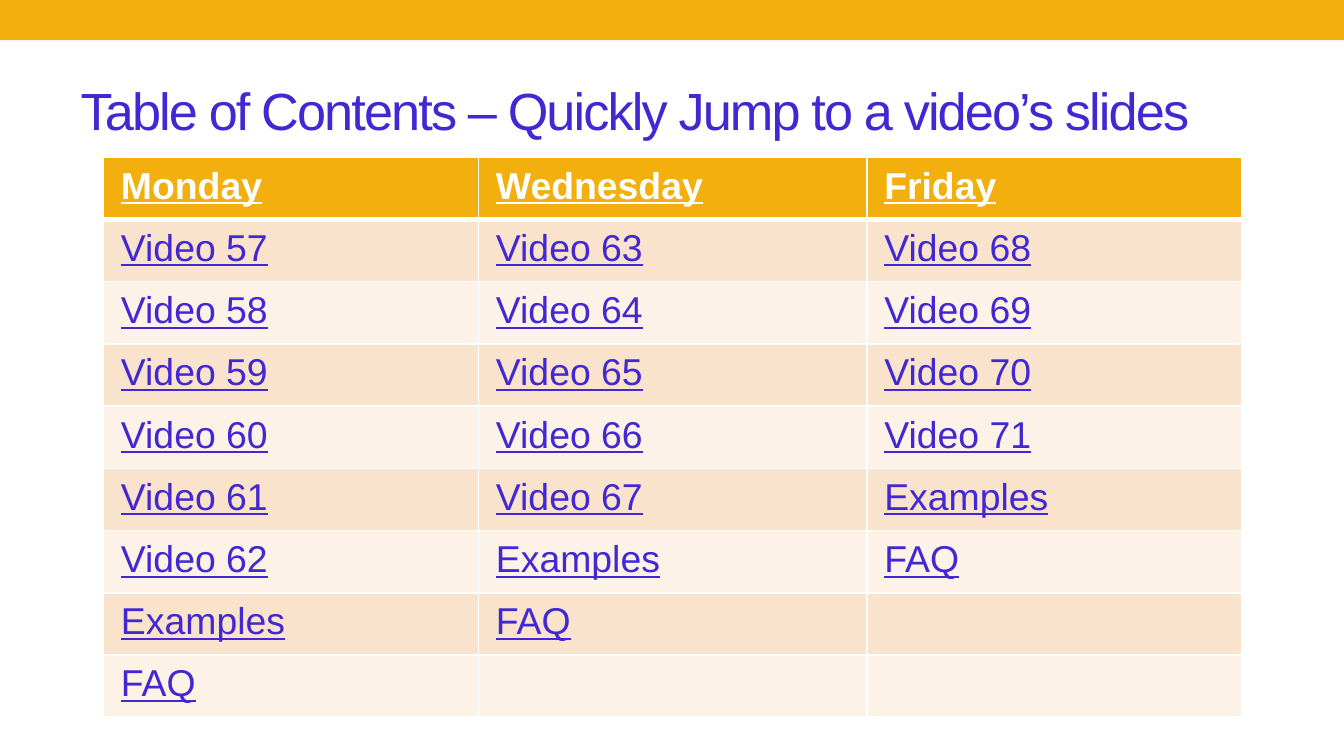
from lxml import etree
from pptx import Presentation
from pptx import util as u
from pptx.dml.color import RGBColor
from pptx.enum import shapes, text
from pptx.oxml.ns import qn

# Content: one list per day
TITLE = "Table of Contents – Quickly Jump to a video’s slides"
DAYS = {
    "Monday": range(57, 63),
    "Wednesday": range(63, 68),
    "Friday": range(68, 72),
}
LISTS = [[day, *(f"Video {n}" for n in nums), "Examples", "FAQ"]
         for day, nums in DAYS.items()]

# Look
FONT = "Arial"
GOLD = RGBColor(0xF2, 0xAF, 0x0D)
VIOLET = RGBColor(0x41, 0x28, 0xD2)
WHITE = RGBColor(0xFF, 0xFF, 0xFF)
BANDS = [RGBColor(0xFC, 0xF2, 0xE7), RGBColor(0xFA, 0xE3, 0xCC)]

# Layout in inches, on a 16:9 slide
WIDE = 10
HIGH = WIDE * 9 / 16
LEFT, TOP = 0.77, 1.17
COLS = [2.79, 2.89, 2.79]
ROWS = max(len(items) for items in LISTS)
DEEP = 4.17


def style(font, size, color, bold=False, line=False):
    font.name, font.size = FONT, u.Pt(size)
    font.color.rgb, font.bold, font.underline = color, bold, line


def border(cell, side, width):
    props = cell._tc.get_or_add_tcPr()
    edge = etree.SubElement(props, qn(f"a:ln{side}"), w=str(u.Pt(width)))
    fill = etree.SubElement(edge, qn("a:solidFill"))
    etree.SubElement(fill, qn("a:srgbClr"), val=str(WHITE))


prs = Presentation()
prs.slide_width, prs.slide_height = u.Inches(WIDE), u.Inches(HIGH)
slide = prs.slides.add_slide(prs.slide_layouts[5])

# Top band
band = slide.shapes.add_shape(shapes.MSO_SHAPE.RECTANGLE, 0, 0,
                              prs.slide_width, u.Inches(0.3))
band.shadow.inherit = False
band.fill.solid()
band.fill.fore_color.rgb = GOLD
band.line.fill.background()

# Title
title = slide.shapes.title
title.left, title.top = u.Inches(0.5), u.Inches(0.44)
title.width, title.height = u.Inches(9), u.Inches(0.81)
frame = title.text_frame
frame.text = TITLE
frame.word_wrap = True
frame.auto_size = text.MSO_AUTO_SIZE.NONE
frame.vertical_anchor = text.MSO_ANCHOR.MIDDLE
para = frame.paragraphs[0]
para.alignment = text.PP_ALIGN.LEFT
para.line_spacing = 0.9
style(para.font, 28, VIOLET)
para.runs[0].font._element.set("spc", "-100")

# Table
table = slide.shapes.add_table(ROWS, len(COLS), u.Inches(LEFT), u.Inches(TOP),
                               u.Inches(sum(COLS)), u.Inches(DEEP)).table
for col, width in zip(table.columns, COLS):
    col.width = u.Inches(width)

for c, items in enumerate(LISTS):
    for r in range(ROWS):
        cell, head = table.cell(r, c), r == 0
        cell.margin_left = cell.margin_right = u.Inches(0.13)
        cell.margin_top = cell.margin_bottom = u.Inches(0.06)
        for side in "LRTB":
            thick = (head and side == "B") or (r == 1 and side == "T")
            border(cell, side, 3 if thick else 1)
        cell.fill.solid()
        cell.fill.fore_color.rgb = GOLD if head else BANDS[r % 2]
        if r < len(items):
            cell.text = items[r]
            style(cell.text_frame.paragraphs[0].font, 20,
                  WHITE if head else VIOLET, head, True)

prs.save("out.pptx")
